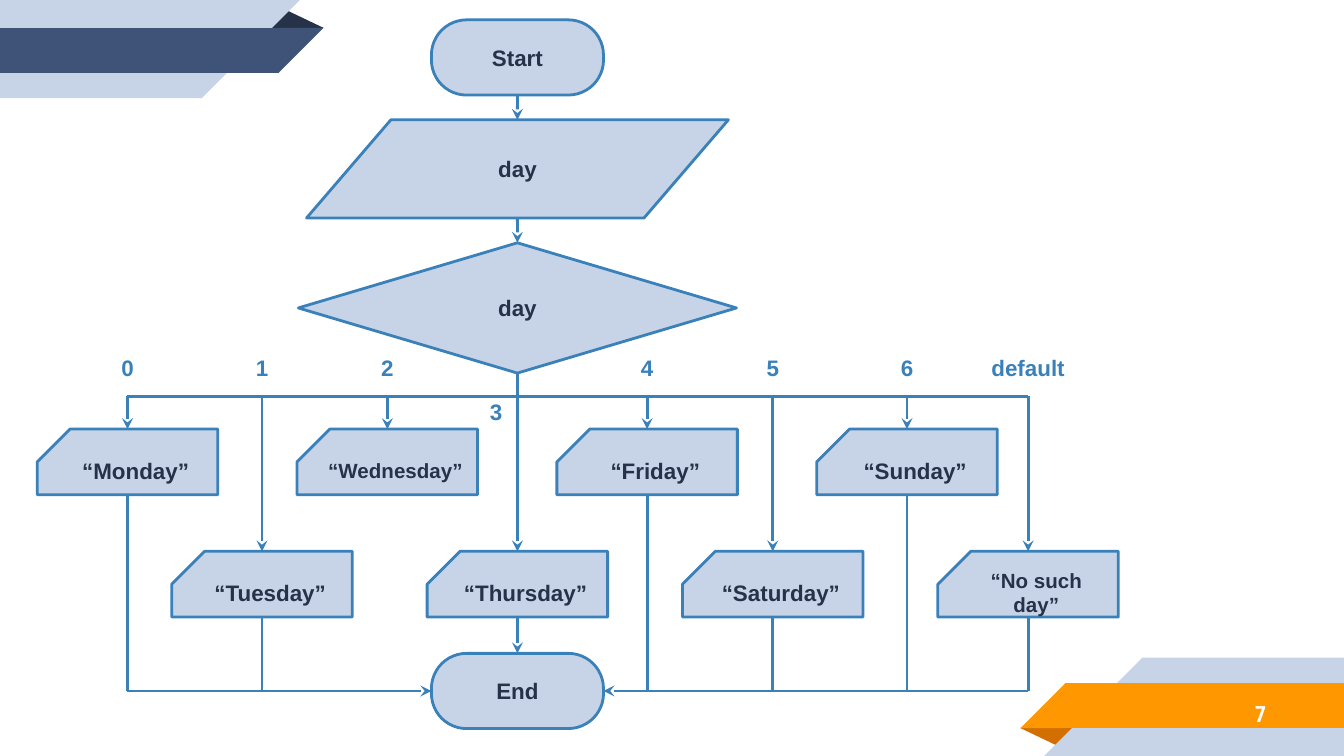
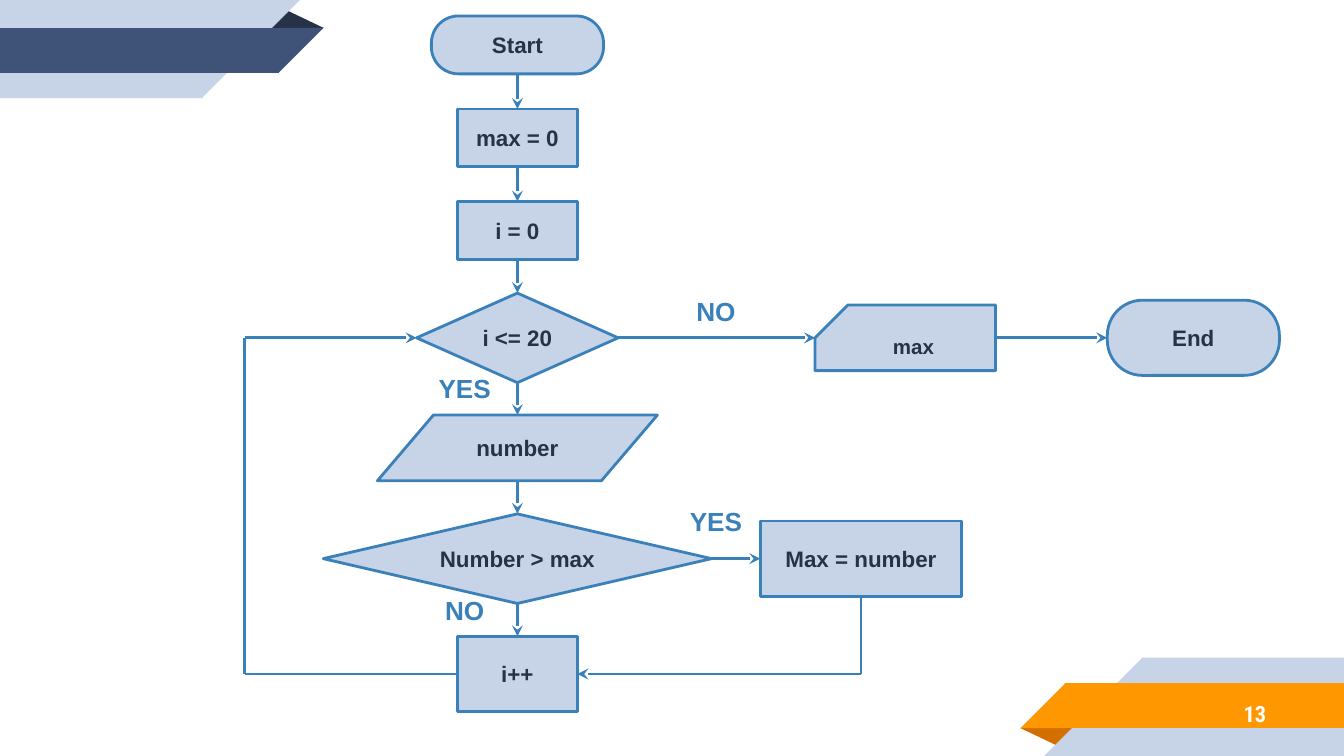
from dataclasses import dataclass
from itertools import pairwise

from lxml.etree import SubElement
from pptx import Presentation
from pptx.dml.color import RGBColor
from pptx.enum.shapes import MSO_CONNECTOR, MSO_SHAPE
from pptx.enum.text import MSO_ANCHOR, PP_ALIGN
from pptx.oxml.ns import qn
from pptx.util import Pt

COLORS = {
    "pale": "C7D3E6",
    "line": "3A81BA",
    "ink": "263248",
    "navy": "3F5378",
    "orange": "FF9800",
    "rust": "D26F00",
    "white": "FFFFFF",
}
PAGE_WIDTH, PAGE_HEIGHT = 720, 405
AXIS = 277.2  # centre of the main column of both charts
LINE_WIDTH = 1.5
TOP, LEFT, BOTTOM, RIGHT = range(4)

TERMINAL = MSO_SHAPE.ROUNDED_RECTANGLE
INPUT = MSO_SHAPE.FLOWCHART_DATA
DECISION = MSO_SHAPE.FLOWCHART_DECISION
PROCESS = MSO_SHAPE.RECTANGLE
OUTPUT = MSO_SHAPE.SNIP_1_RECTANGLE

TERMINAL_SIZE = (92.2, 40.3)
OUTPUT_SIZE = (96.7, 35.2)


@dataclass
class Anchor:
    """A line end in points, joined to a box when one is given."""
    x: float
    y: float
    box: object = None
    site: int = TOP


def color(name):
    return RGBColor.from_string(COLORS[name])


def write(box, text, size=12, font="Arial", fill="ink",
          align=PP_ALIGN.CENTER, anchor=MSO_ANCHOR.MIDDLE):
    frame = box.text_frame
    frame.word_wrap = True
    frame.vertical_anchor = anchor
    frame.margin_left = frame.margin_right = Pt(7.2)
    frame.margin_top = frame.margin_bottom = Pt(7.2)
    para = frame.paragraphs[0]
    para.alignment = align
    span = para.add_run()
    span.text = text
    span.font.size = Pt(size)
    span.font.name = font
    span.font.bold = True
    span.font.color.rgb = color(fill)


def add_filled(shapes, kind, left, top, width, height, fill):
    shape = shapes.add_shape(kind, Pt(left), Pt(top), Pt(width), Pt(height))
    shape.shadow.inherit = False
    shape.fill.solid()
    shape.fill.fore_color.rgb = color(fill)
    shape.line.fill.background()
    return shape


def flip_sideways(shape):
    shape.element.spPr.get_or_add_xfrm().set("flipH", "1")


def add_ribbon(page, band, fold, turned=False):
    """Draw the top-left ribbon, or the same turned into the bottom-right corner."""
    group = page.shapes.add_group_shape()
    parts = [
        (MSO_SHAPE.ISOSCELES_TRIANGLE, 142.5, 5, 31, 10, fold),
        (MSO_SHAPE.RECTANGLE, 0, 0, 108.3, 52.6, "pale"),
        (MSO_SHAPE.RIGHT_TRIANGLE, 108, 0, 52.6, 52.6, "pale"),
        (MSO_SHAPE.RECTANGLE, 0, 15, 149.5, 24, band),
        (MSO_SHAPE.RIGHT_TRIANGLE, 149.2, 15, 24, 24, band),
    ]
    for kind, left, top, width, height, fill in parts:
        if turned:
            left, top = PAGE_WIDTH - left - width, PAGE_HEIGHT - top - height
        shape = add_filled(group.shapes, kind, left, top, width, height, fill)
        is_fold = kind == MSO_SHAPE.ISOSCELES_TRIANGLE
        if is_fold:
            shape.adjustments[0] = 0.324
        else:
            flip_sideways(shape)
        shape.rotation = 180 if is_fold == turned else 0


def add_page(deck, number):
    page = deck.slides.add_slide(deck.slide_layouts[6])
    add_ribbon(page, "orange", "rust", turned=True)
    add_ribbon(page, "navy", "ink")
    box = page.shapes.add_textbox(Pt(568), Pt(369.4), Pt(117.4), Pt(25.2))
    write(box, number, font="Roboto Condensed", fill="white", align=PP_ALIGN.RIGHT)
    return page


def add_node(page, kind, text, center, middle, size, text_size=12):
    width, height = size
    box = add_filled(page.shapes, kind, center - width / 2, middle - height / 2,
                     width, height, "pale")
    box.line.color.rgb = color("line")
    box.line.width = Pt(LINE_WIDTH)
    if kind == TERMINAL:
        box.adjustments[0] = 0.467
    if kind == OUTPUT:
        box.adjustments[0] = 0.5
        flip_sideways(box)
    write(box, text, size=text_size)
    return box


def add_label(page, text, center, top, width=46, size=12):
    box = page.shapes.add_textbox(Pt(center - width / 2), Pt(top), Pt(width), Pt(29.5))
    write(box, text, size=size, fill="line", anchor=MSO_ANCHOR.TOP)


def side(box, site):
    """Anchor at the middle of a side; slanted and flipped sides stay unjoined."""
    left, top, width, height = (
        length.pt for length in (box.left, box.top, box.width, box.height))
    x = left + width * {LEFT: 0, RIGHT: 1}.get(site, 0.5)
    y = top + height * {TOP: 0, BOTTOM: 1}.get(site, 0.5)
    kind = box.auto_shape_type
    loose = kind == INPUT or (kind == OUTPUT and site in (LEFT, RIGHT))
    return Anchor(x, y, None if loose else box, site)


def connect(page, start, end, arrow=True):
    wire = page.shapes.add_connector(
        MSO_CONNECTOR.STRAIGHT, Pt(start.x), Pt(start.y), Pt(end.x), Pt(end.y))
    if start.box is not None:
        wire.begin_connect(start.box, start.site)
    if end.box is not None:
        wire.end_connect(end.box, end.site)
    wire.line.color.rgb = color("line")
    wire.line.width = Pt(LINE_WIDTH)
    if arrow:
        SubElement(wire.line._get_or_add_ln(), qn("a:tailEnd"), type="stealth")
    SubElement(wire._element.spPr, qn("a:effectLst"))


def connect_column(page, boxes):
    for upper, lower in pairwise(boxes):
        connect(page, side(upper, BOTTOM), side(lower, TOP))


def build_weekday_switch(deck):
    page = add_page(deck, "7")
    bus, end_line = 212.4, 370.2
    start = add_node(page, TERMINAL, "Start", AXIS, 30.8, TERMINAL_SIZE)
    end = add_node(page, TERMINAL, "End", AXIS, end_line, TERMINAL_SIZE)
    day = add_node(page, INPUT, "day", AXIS, 90.5, (226, 52.6))
    switch = add_node(page, DECISION, "day", AXIS, 165, (234.7, 69.8))
    connect_column(page, [start, day, switch])

    cases = [
        ("0", "“Monday”", 12), ("1", "“Tuesday”", 12), ("2", "“Wednesday”", 11),
        ("3", "“Thursday”", 12), ("4", "“Friday”", 12), ("5", "“Saturday”", 12),
        ("6", "“Sunday”", 12), ("default", "“No such day”", 11),
    ]
    centers = []
    for index, (value, answer, text_size) in enumerate(cases):
        column, lower = divmod(index, 2)
        if lower:
            center, middle = AXIS + 136.8 * (column - 1), 313
        else:
            center, middle = 68.3 + 139.2 * column, 247.5
        centers.append(center)
        card = add_node(page, OUTPUT, answer, center, middle, OUTPUT_SIZE, text_size)
        if value == "3":  # the case straight below the decision
            connect_column(page, [switch, card, end])
            add_label(page, value, center - 11.5, 206)
            continue
        connect(page, Anchor(center, bus), side(card, TOP))
        if value != "2":
            connect(page, side(card, BOTTOM), Anchor(center, end_line), arrow=False)
        add_label(page, value, center, 182.5, width=67.7 if value == "default" else 46)

    first, last = centers[0], centers[-1]
    connect(page, Anchor(first, bus), Anchor(last, bus), arrow=False)
    connect(page, Anchor(first, end_line), side(end, LEFT))
    connect(page, Anchor(last, end_line), side(end, RIGHT))


def build_maximum_loop(deck):
    page = add_page(deck, "13")
    loop_line, test_line, compare_line, next_line = 131, 181, 299.3, 361.1
    step_size = (64.3, 31)
    start = add_node(page, TERMINAL, "Start", AXIS, 24.1, (92.2, 31))
    reset_max = add_node(page, PROCESS, "max = 0", AXIS, 73.9, step_size)
    reset_index = add_node(page, PROCESS, "i = 0", AXIS, 123.5, step_size)
    test = add_node(page, DECISION, "i <= 20", AXIS, test_line, (108, 48))
    number = add_node(page, INPUT, "number", AXIS, 240, (150, 35.2))
    compare = add_node(page, DECISION, "Number > max", AXIS, compare_line, (208, 48))
    advance = add_node(page, PROCESS, "i++", AXIS, next_line, (64.3, 40.3))
    update = add_node(page, PROCESS, "Max = number", 461.3, compare_line, (108, 40.3))
    result = add_node(page, OUTPUT, "max", 485, test_line, OUTPUT_SIZE, text_size=11)
    end = add_node(page, TERMINAL, "End", 639.3, test_line, TERMINAL_SIZE)

    connect_column(page, [start, reset_max, reset_index, test, number, compare, advance])
    for before, after in [(test, result), (result, end), (compare, update)]:
        connect(page, side(before, RIGHT), side(after, LEFT))

    loop_low, loop_high = Anchor(loop_line, next_line), Anchor(loop_line, test_line)
    connect(page, side(advance, LEFT), loop_low, arrow=False)
    connect(page, loop_low, loop_high, arrow=False)
    connect(page, loop_high, side(test, LEFT))

    corner = Anchor(461.3, next_line)
    connect(page, side(update, BOTTOM), corner, arrow=False)
    connect(page, corner, side(advance, RIGHT))

    below, beside = 249, 383.6
    for text, center, top in [("YES", below, 192.2), ("YES", beside, 263.5),
                              ("NO", beside, 151.2), ("NO", below, 311)]:
        add_label(page, text, center, top, width=55.4, size=14)


def main():
    deck = Presentation()
    deck.slide_width, deck.slide_height = Pt(PAGE_WIDTH), Pt(PAGE_HEIGHT)
    build_weekday_switch(deck)
    build_maximum_loop(deck)
    deck.save("out.pptx")


if __name__ == "__main__":
    main()
